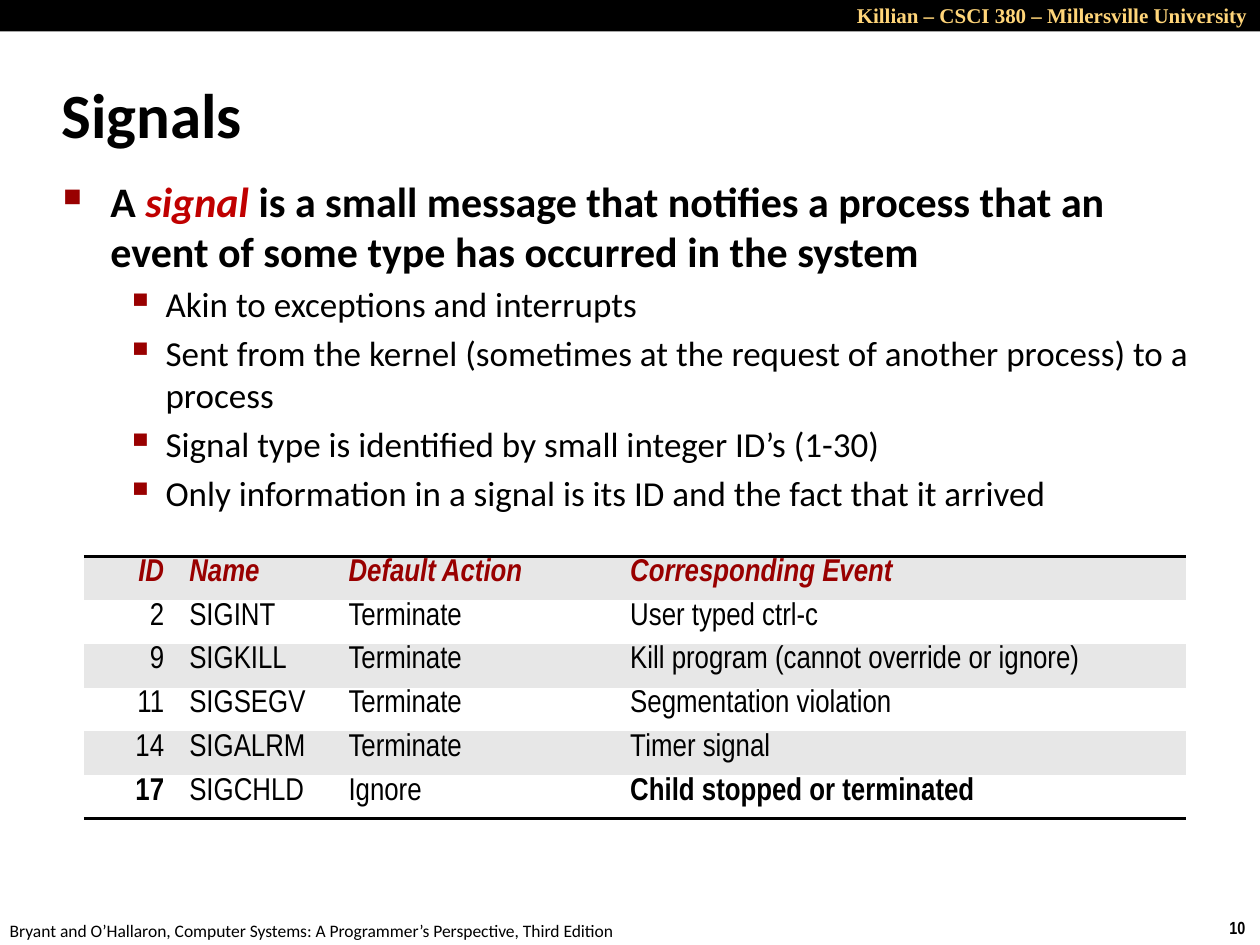
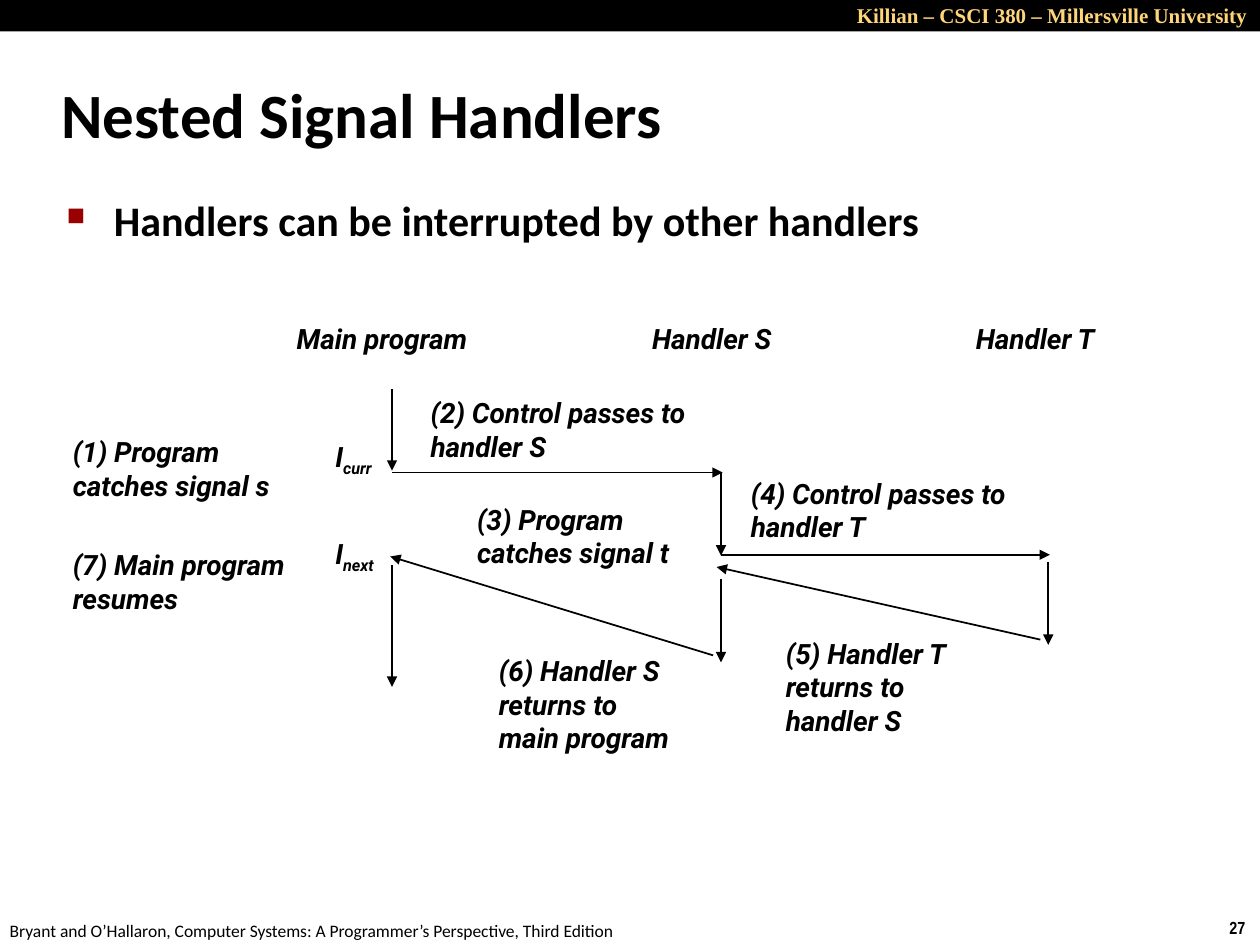
from lxml import etree
from pptx import Presentation
from pptx.dml.color import RGBColor
from pptx.enum.shapes import MSO_CONNECTOR, MSO_SHAPE
from pptx.enum.text import MSO_ANCHOR, PP_ALIGN
from pptx.oxml.ns import qn
from pptx.util import Pt

LEFT, RIGHT = PP_ALIGN.LEFT, PP_ALIGN.RIGHT
TOP, MIDDLE = MSO_ANCHOR.TOP, MSO_ANCHOR.MIDDLE
RECTANGLE, STRAIGHT = MSO_SHAPE.RECTANGLE, MSO_CONNECTOR.STRAIGHT

BLACK, WHITE, GREY = "000000", "FFFFFF", "E7E7E7"
GOLD, CRIMSON, RED = "FFD579", "990000", "C00000"
BODY_FONT, NARROW_FONT = "Calibri", "Arial Narrow"
HEADER_FONT, DIAGRAM_FONT = "Times New Roman", "Roboto"
PLAIN_TABLE = "{2D5ABB26-0587-4C30-8999-92F81FD0307C}"

HEADER = "Killian – CSCI 380 – Millersville University"
FOOTER = ("Bryant and O’Hallaron, Computer Systems: "
          "A Programmer’s Perspective, Third Edition")

# Per outline level: text size, bold, left margin, hanging indent, bullet, bullet size %
LEVELS = [(24, True, 27, 27, "■", 60), (20, False, 58.5, 22.5, "▪", 110)]


def rgb(value):
    """Turn a hex string into a colour."""
    return RGBColor.from_string(value)


def add_run(paragraph, text, font=BODY_FONT, size=16, color=BLACK,
            bold=False, italic=False, baseline=0):
    """Append formatted text to a paragraph; baseline is a percentage."""
    run = paragraph.add_run()
    run.text = text
    run.font.name, run.font.size = font, Pt(size)
    run.font.bold, run.font.italic = bold, italic
    run.font.color.rgb = rgb(color)
    if baseline:
        run.font._element.set("baseline", str(baseline * 1000))


def add_child(parent, tag, **attributes):
    """Append a DrawingML element and return it."""
    return etree.SubElement(parent, qn(tag), attributes)


def set_bullet(paragraph, margin, hanging, mark, percent):
    """Give a paragraph a hanging bullet."""
    props = paragraph._p.get_or_add_pPr()
    props.set("marL", str(Pt(margin)))
    props.set("indent", str(-Pt(hanging)))
    add_child(add_child(props, "a:buClr"), "a:srgbClr", val=CRIMSON)
    add_child(props, "a:buSzPct", val=str(percent * 1000))
    add_child(props, "a:buChar", char=mark)


def set_rule(cell, side):
    """Draw a black rule on one side of a cell; call before the fill is set."""
    border = add_child(cell._tc.get_or_add_tcPr(), side, w=str(Pt(2)))
    add_child(add_child(border, "a:solidFill"), "a:srgbClr", val=BLACK)


class Deck:
    """Holds the shared style and the current slide."""

    def __init__(self):
        """Start an empty 10 by 7.5 inch presentation."""
        self.presentation = Presentation()
        self.presentation.slide_width = Pt(720)
        self.presentation.slide_height = Pt(540)
        self.slide = None

    def new_slide(self, title, number):
        """Add a slide with its band, header, footer, number and title."""
        layout = self.presentation.slide_layouts[6]
        self.slide = self.presentation.slides.add_slide(layout)
        self.band(0, 0, 720, 18)
        self.text(474, -2, 246, 21.5, [HEADER], align=RIGHT,
                  font=HEADER_FONT, size=12, color=GOLD, bold=True)
        self.text(695.5, 520.5, 24.5, 19.5, [number], wrap=False,
                  font=NARROW_FONT, size=10, bold=True)
        self.text(-1.5, 522, 366, 19.5, [FOOTER], wrap=False, size=10)
        self.text(28, 34.5, 598, 60, [title], anchor=MIDDLE, size=36, bold=True)

    def band(self, left, top, width, height):
        """Draw a plain black bar."""
        bar = self.slide.shapes.add_shape(
            RECTANGLE, Pt(left), Pt(top), Pt(width), Pt(height))
        bar.shadow.inherit = False
        bar.fill.solid()
        bar.fill.fore_color.rgb = rgb(BLACK)
        bar.line.fill.background()

    def frame(self, left, top, width, height, wrap=True, anchor=TOP):
        """Add an empty text box and return its text frame."""
        box = self.slide.shapes.add_textbox(
            Pt(left), Pt(top), Pt(width), Pt(height))
        box.text_frame.word_wrap = wrap
        box.text_frame.vertical_anchor = anchor
        return box.text_frame

    def text(self, left, top, width, height, lines, wrap=True, anchor=TOP,
             align=LEFT, **style):
        """Add a text box with one paragraph per line."""
        frame = self.frame(left, top, width, height, wrap, anchor)
        for index, line in enumerate(lines):
            paragraph = frame.add_paragraph() if index else frame.paragraphs[0]
            paragraph.alignment = align
            add_run(paragraph, line, **style)

    def outline(self, left, top, width, height, items):
        """Add bullets from (level, pieces); a piece is (text, extra format)."""
        frame = self.frame(left, top, width, height)
        for index, (level, pieces) in enumerate(items):
            size, bold, margin, hanging, mark, percent = LEVELS[level]
            paragraph = frame.add_paragraph() if index else frame.paragraphs[0]
            paragraph.level = level
            paragraph.space_before = Pt(0.2 * size)
            set_bullet(paragraph, margin, hanging, mark, percent)
            for piece, extra in pieces:
                add_run(paragraph, piece, size=size, bold=bold, **extra)

    def table(self, left, top, widths, row_height, rows, bold_cells):
        """Add a striped table ruled above and below; first column is right-aligned."""
        table = self.slide.shapes.add_table(
            len(rows), len(widths), Pt(left), Pt(top),
            Pt(sum(widths)), Pt(row_height * len(rows))).table
        table.first_row = table.horz_banding = False
        table._tbl.tblPr.find(qn("a:tableStyleId")).text = PLAIN_TABLE
        for column, width in zip(table.columns, widths):
            column.width = Pt(width)
        for r, row in enumerate(rows):
            table.rows[r].height = Pt(row_height)
            for c, value in enumerate(row):
                cell = table.cell(r, c)
                cell.margin_top = cell.margin_bottom = Pt(1.5)
                if r == 0:
                    set_rule(cell, "a:lnT")
                if r == len(rows) - 1:
                    set_rule(cell, "a:lnB")
                cell.fill.solid()
                cell.fill.fore_color.rgb = rgb(WHITE if r % 2 else GREY)
                paragraph = cell.text_frame.paragraphs[0]
                paragraph.alignment = LEFT if c else RIGHT
                paragraph.line_spacing = 0.95
                add_run(paragraph, value, font=NARROW_FONT, size=18,
                        color=BLACK if r else CRIMSON, italic=r == 0,
                        bold=r == 0 or (r, c) in bold_cells)

    def arrow(self, x1, y1, x2, y2):
        """Draw a thin black arrow from the first point to the second."""
        line = self.slide.shapes.add_connector(
            STRAIGHT, Pt(x1), Pt(y1), Pt(x2), Pt(y2))
        line.line.width = Pt(1)
        line.line.color.rgb = rgb(BLACK)
        add_child(line.line._get_or_add_ln(), "a:tailEnd", type="triangle")
        add_child(line._element.spPr, "a:effectLst")

    def label(self, left, top, width, *lines):
        """Add a diagram caption."""
        self.text(left, top, width, 46, lines, font=DIAGRAM_FONT,
                  bold=True, italic=True)

    def instruction(self, left, top, subscript):
        """Mark an instruction as I with a subscript."""
        paragraph = self.frame(left, top, 43.5, 26.5, wrap=False).paragraphs[0]
        for piece, baseline in (("I", 0), (subscript, -25)):
            add_run(paragraph, piece, font=DIAGRAM_FONT, bold=True,
                    italic=True, baseline=baseline)


def signals(deck):
    """Build the slide that defines signals."""
    deck.new_slide("Signals", "10")
    definition = [
        ("A ", {}), ("signal", {"color": RED, "italic": True}),
        (" is a small message that notifies a process that an event of some "
         "type has occurred in the system", {})]
    details = [
        "Akin to exceptions and interrupts",
        "Sent from the kernel (sometimes at the request of another process) "
        "to a process",
        "Signal type is identified by small integer ID’s (1-30)",
        "Only information in a signal is its ID and the fact that it arrived"]
    deck.outline(29, 96.5, 661, 216,
                 [(0, definition)] + [(1, [(detail, {})]) for detail in details])
    rows = [
        ("ID", "Name", "Default Action", "Corresponding Event"),
        ("2", "SIGINT", "Terminate", "User typed ctrl-c"),
        ("9", "SIGKILL", "Terminate", "Kill program (cannot override or ignore)"),
        ("11", "SIGSEGV", "Terminate", "Segmentation violation"),
        ("14", "SIGALRM", "Terminate", "Timer signal"),
        ("17", "SIGCHLD", "Ignore", "Child stopped or terminated")]
    deck.table(48, 318, (53, 91, 161, 325), 25, rows, {(5, 0), (5, 3)})


def nested_handlers(deck):
    """Build the slide that traces control through nested handlers."""
    deck.new_slide("Nested Signal Handlers", "27")
    deck.outline(31, 107.5, 622, 49,
                 [(0, [("Handlers can be interrupted by other handlers", {})])])

    main, handler_s, handler_t = 224, 412, 599
    for left, width, name in ((162.5, 127, "Main program"),
                              (365.5, 98, "Handler S"),
                              (550.5, 98, "Handler T")):
        deck.label(left, 180, width, name)

    for lane, start, end in ((main, 222.5, 269), (handler_s, 270, 317.5),
                             (handler_t, 321, 368.5), (handler_s, 331, 378.5),
                             (main, 323, 392.5)):
        deck.arrow(lane, start, lane, end)
    deck.arrow(main, 270, handler_s + 1, 270)
    deck.arrow(handler_s, 317, handler_t + 1, 317)
    deck.arrow(handler_t - 4.5, 365.5, handler_s - 2.5, 324)
    deck.arrow(handler_s - 4.5, 374.5, main - 1, 318)

    deck.instruction(184.5, 247.5, "curr")
    deck.instruction(184.5, 303, "next")

    deck.label(34.5, 245, 151, "(1) Program catches signal s")
    deck.label(239, 222.5, 161, "(2) Control passes to handler S")
    deck.label(265.5, 283.5, 146, "(3) Program catches signal t")
    deck.label(422, 268.5, 166, "(4) Control passes to handler T")
    deck.label(442, 360, 117, "(5) Handler T", "returns to handler S")
    deck.label(278, 370, 117, "(6) Handler S", "returns to main program")
    deck.label(34.5, 309.5, 151, "(7) Main program resumes")


deck = Deck()
signals(deck)
nested_handlers(deck)
deck.presentation.save("out.pptx")
